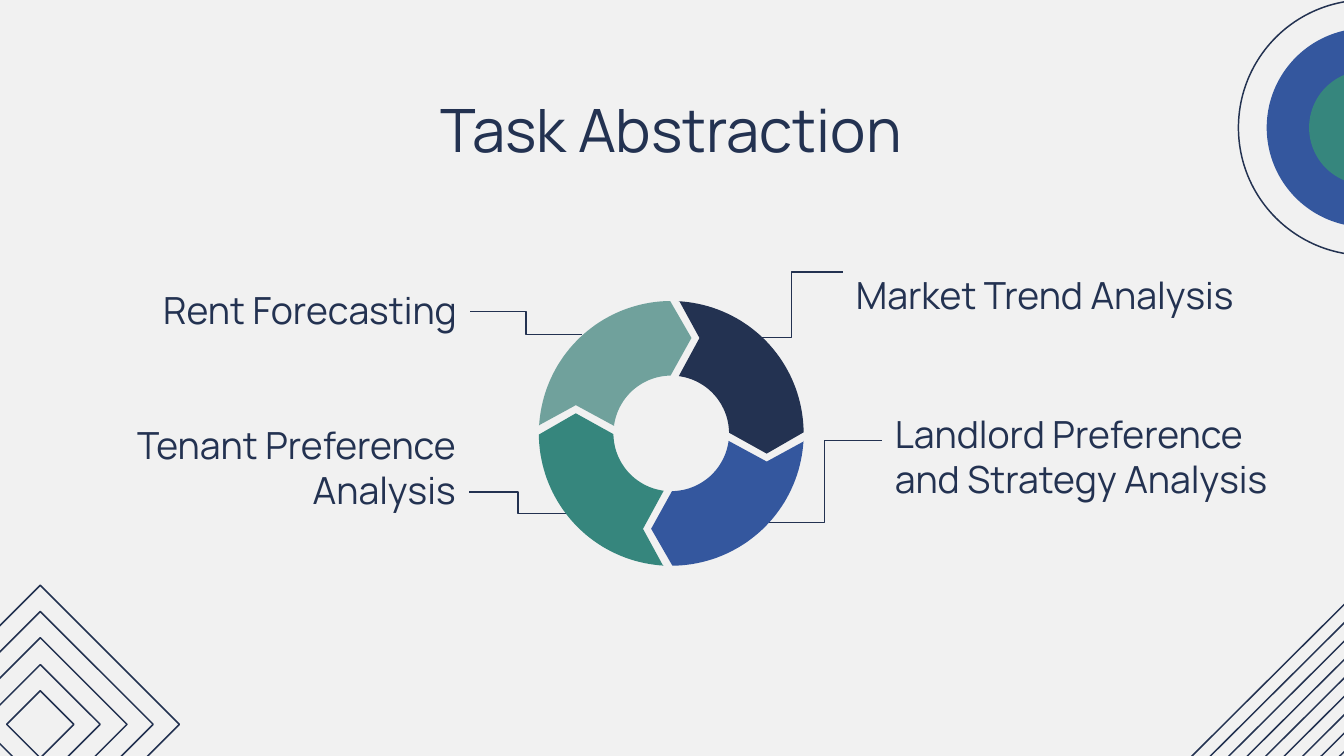
from math import cos, radians, sin

from lxml.etree import SubElement
from pptx import Presentation
from pptx.dml.color import RGBColor
from pptx.enum.shapes import MSO_CONNECTOR, MSO_SHAPE
from pptx.enum.text import MSO_ANCHOR, PP_ALIGN
from pptx.oxml.ns import qn
from pptx.util import Inches, Pt

PAPER = RGBColor(0xF1, 0xF1, 0xF1)
NAVY = RGBColor(0x23, 0x32, 0x51)
BLUE = RGBColor(0x34, 0x57, 0x9E)
GREEN = RGBColor(0x36, 0x86, 0x7D)
SAGE = RGBColor(0x70, 0xA1, 0x9C)


def arc(radius, first, last, steps=40):
    """Return points along an arc around the origin, angles in degrees."""
    angles = [radians(first + (last - first) * i / steps) for i in range(steps + 1)]
    return [(radius * cos(angle), radius * sin(angle)) for angle in angles]


class Painter:
    """Holds the style and the current page, and adds each kind of element."""

    font = "Manrope"
    ink = NAVY

    def __init__(self, page):
        self.page = page
        page.background.fill.solid()
        page.background.fill.fore_color.rgb = PAPER

    def paint(self, shape, fill=None):
        shape.shadow.inherit = False
        if fill is None:
            shape.fill.background()
            shape.line.color.rgb = self.ink
            shape.line.width = Pt(0.78)
        else:
            shape.fill.solid()
            shape.fill.fore_color.rgb = fill
            shape.line.fill.background()

    def centred(self, kind, x, y, size, fill=None):
        shape = self.page.shapes.add_shape(
            kind, Inches(x - size / 2), Inches(y - size / 2), Inches(size), Inches(size))
        self.paint(shape, fill)

    def outline(self, points, fill):
        corners = [(Inches(x), Inches(y)) for x, y in points]
        builder = self.page.shapes.build_freeform(*corners[0])
        builder.add_line_segments(corners[1:], close=True)
        self.paint(builder.convert_to_shape(), fill)

    def line(self, kind, start, end, width):
        connector = self.page.shapes.add_connector(
            kind, *(Inches(value) for value in (*start, *end)))
        connector.line.color.rgb = self.ink
        connector.line.width = Pt(width)
        SubElement(connector._element.spPr, qn("a:effectLst"))

    def text(self, words, place, size, align, anchor):
        box = self.page.shapes.add_textbox(*(Inches(value) for value in place))
        frame = box.text_frame
        frame.word_wrap = True
        frame.vertical_anchor = anchor
        frame.margin_left = frame.margin_right = Inches(0.1)
        frame.margin_top = frame.margin_bottom = Inches(0.1)
        frame.text = words
        para = frame.paragraphs[0]
        para.alignment = align
        span = para.runs[0]
        span.font.name = self.font
        span.font.size = Pt(size)
        span.font.color.rgb = self.ink


def draw_decoration(painter):
    """Draw the nested diamonds, diagonal stripes and target in the corners."""
    for size in (2.07, 1.68, 1.29, 0.89, 0.5):
        painter.centred(MSO_SHAPE.DIAMOND, 0.3, 5.39, size)
    for i in range(9):
        shift = 1.1 * i / 8
        painter.line(MSO_CONNECTOR.STRAIGHT, (10.14 + shift, 4.36), (7.95 + shift, 6.54), 0.78)
    for size, fill in ((1.48, BLUE), (1.9, None), (0.85, GREEN)):
        painter.centred(MSO_SHAPE.OVAL, 10.165, 0.95, size, fill)


def draw_cycle(painter):
    """Draw four interlocking ring segments, each a quarter turn on."""
    radius = 1.97 / 2
    segment = [(0.06, -radius), (0.21, -0.71), *arc(0.43, -82.5, -0.7),
               (0.71, 0.15), *arc(radius, -0.5, -86.8)]
    for fill in (NAVY, BLUE, GREEN, SAGE):
        painter.outline([(4.995 + x, 3.225 + y) for x, y in segment], fill)
        segment = [(-y, x) for x, y in segment]


def main():
    """Build the slide and save it."""
    deck = Presentation()
    deck.slide_width = Inches(10)
    deck.slide_height = deck.slide_width * 9 // 16
    painter = Painter(deck.slides.add_slide(deck.slide_layouts[6]))
    draw_decoration(painter)
    painter.text("Task Abstraction", (0.95, 0.59, 8.09, 0.63), 32,
                 PP_ALIGN.CENTER, MSO_ANCHOR.TOP)
    tasks = (
        ("Rent Forecasting", (0.56, 2.07, 2.94, 0.5), PP_ALIGN.RIGHT, (4.33, 2.49)),
        ("Market Trend Analysis", (6.27, 1.59, 3.13, 0.87), PP_ALIGN.LEFT, (5.51, 2.51)),
        ("Tenant Preference Analysis", (0.31, 3.41, 3.18, 0.5), PP_ALIGN.RIGHT, (4.22, 3.82)),
        ("Landlord Preference and Strategy Analysis", (6.56, 2.73, 2.99, 1.1),
         PP_ALIGN.LEFT, (5.71, 3.89)),
    )
    for words, place, align, target in tasks:
        left, top, width, height = place
        painter.text(words, place, 20, align, MSO_ANCHOR.BOTTOM)
        side = left + width if align == PP_ALIGN.RIGHT else left
        painter.line(MSO_CONNECTOR.ELBOW, (side, top + height / 2), target, 0.75)
    draw_cycle(painter)
    deck.save("out.pptx")


if __name__ == "__main__":
    main()
